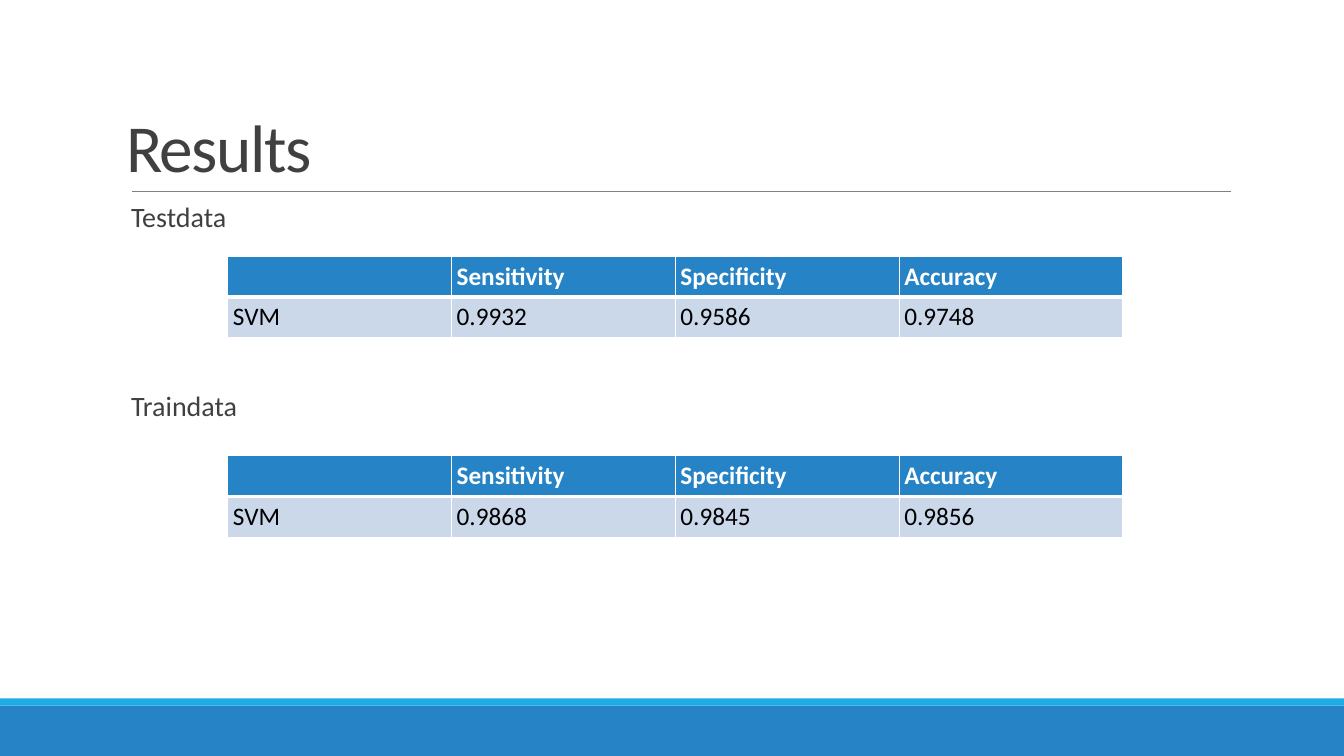
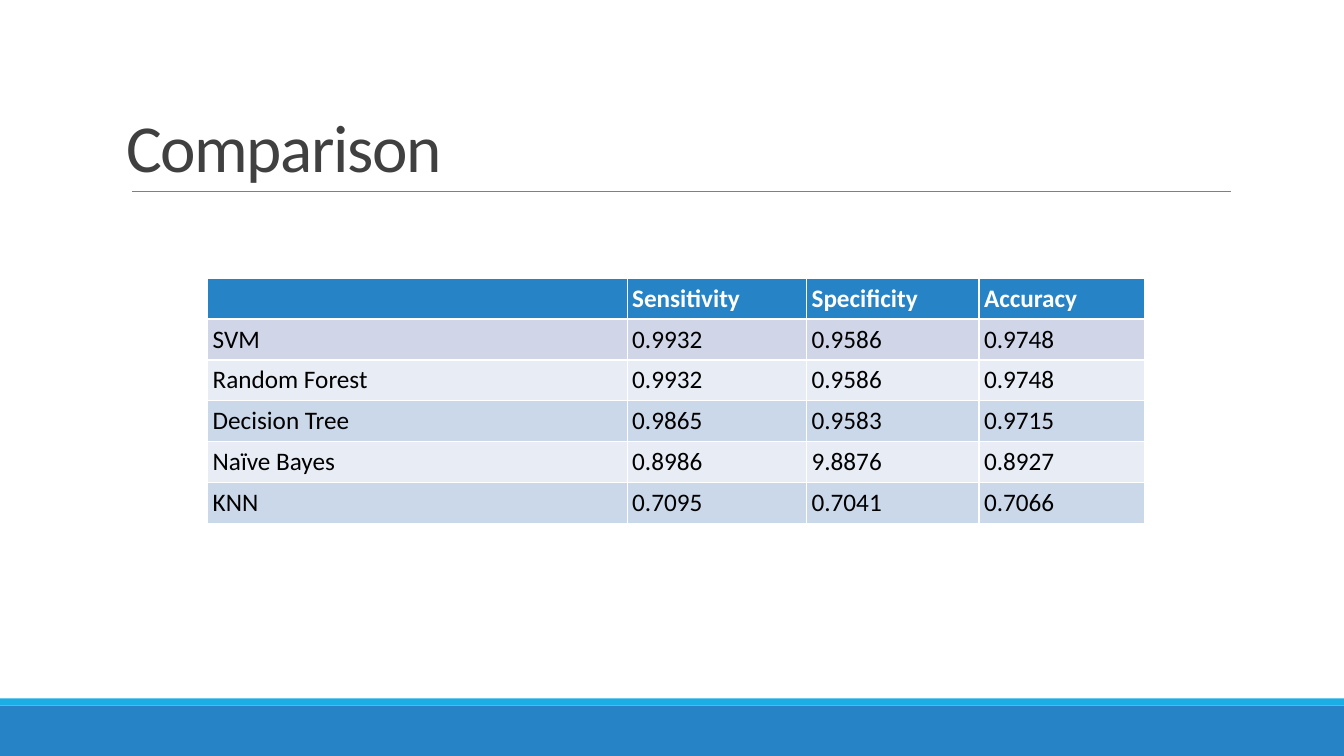
from lxml import etree
from pptx import Presentation
from pptx.dml.color import RGBColor
from pptx.enum.shapes import MSO_CONNECTOR, MSO_SHAPE
from pptx.enum.text import MSO_ANCHOR, MSO_AUTO_SIZE, PP_ALIGN
from pptx.oxml.ns import qn
from pptx.util import Inches, Pt

METRICS = ["", "Sensitivity", "Specificity", "Accuracy"]


def rgb(value):
    return RGBColor.from_string(value)


def write(tf, text, size=18, color="000000", bold=False, line_spacing=None,
          tracking=None, inset=0.05, anchor=MSO_ANCHOR.TOP):
    """Fill a text frame with one formatted paragraph; tracking is in points."""
    tf.word_wrap = True
    tf.auto_size = MSO_AUTO_SIZE.NONE
    tf.vertical_anchor = anchor
    tf.margin_left = tf.margin_right = Inches(inset)
    tf.margin_top = tf.margin_bottom = Inches(inset)
    format_paragraph(tf.paragraphs[0], text, size, color, bold, line_spacing, tracking)


def format_paragraph(p, text, size, color, bold, line_spacing=None, tracking=None):
    p.alignment = PP_ALIGN.LEFT
    p.line_spacing = line_spacing
    r = p.add_run()
    r.text = text
    r.font.name = Deck.FONT
    r.font.size = Pt(size)
    r.font.bold = bold
    r.font.color.rgb = rgb(color)
    if tracking is not None:
        r.font._element.set("spc", str(int(tracking * 100)))


def border(cell, side, width):
    """Draw one white cell edge; side is L, R, T or B."""
    ln = etree.SubElement(cell._tc.get_or_add_tcPr(), qn(f"a:ln{side}"), w=str(Pt(width)))
    fill = etree.SubElement(ln, qn("a:solidFill"))
    etree.SubElement(fill, qn("a:srgbClr"), val=Deck.WHITE)


class Deck:
    FONT = "Calibri"
    WHITE = "FFFFFF"
    TEXT = "404040"
    BLUE = "2683C6"
    CYAN = "1CADE4"
    RULE = "808080"
    ROW_DARK = "CBD8EA"
    ROW_LIGHT = "E7ECF5"
    ROW_MARKED = "D0D5E7"
    ROW_HEIGHT = 0.405

    def __init__(self):
        self.prs = Presentation()
        self.prs.slide_width = Inches(13.33)
        self.prs.slide_height = Inches(7.5)
        self.s = None

    def slide(self, title):
        self.s = self.prs.slides.add_slide(self.prs.slide_layouts[5])
        self.band(7, 0.5, self.BLUE)
        self.band(6.93, 0.07, self.CYAN)
        self.rule(1.31, 12.21, 1.9)
        sp = self.s.shapes.title
        sp.left, sp.top, sp.width, sp.height = map(Inches, (1.2, 0.31, 11, 1.59))
        write(sp.text_frame, title, size=48, color=self.TEXT, line_spacing=0.85,
              tracking=-1, anchor=MSO_ANCHOR.BOTTOM)

    def band(self, top, height, color):
        sp = self.s.shapes.add_shape(MSO_SHAPE.RECTANGLE, 0, Inches(top),
                                     self.prs.slide_width, Inches(height))
        sp.shadow.inherit = False
        sp.fill.solid()
        sp.fill.fore_color.rgb = rgb(color)
        sp.line.fill.background()

    def rule(self, left, right, y):
        line = self.s.shapes.add_connector(MSO_CONNECTOR.STRAIGHT, Inches(left), Inches(y),
                                           Inches(right), Inches(y))
        line.line.color.rgb = rgb(self.RULE)
        line.line.width = Pt(0.5)
        etree.SubElement(line._element.spPr, qn("a:effectLst"))

    def label(self, text, top):
        sp = self.s.shapes.add_textbox(Inches(1.3), Inches(top), Inches(10.9), Inches(0.35))
        write(sp.text_frame, text, size=20, color=self.TEXT, line_spacing=0.9, inset=0)

    def table(self, left, top, widths, rows, fills, header_rule=1):
        """Place a metrics table; fills holds one colour per body row."""
        rows = [METRICS] + rows
        frame = self.s.shapes.add_table(len(rows), len(widths), Inches(left), Inches(top),
                                        Inches(sum(widths)),
                                        Inches(self.ROW_HEIGHT * len(rows)))
        table = frame.table
        table.horz_banding = False
        for column, width in zip(table.columns, widths):
            column.width = Inches(width)
        for i, (values, fill) in enumerate(zip(rows, [self.BLUE] + fills)):
            for j, value in enumerate(values):
                self.cell(table.cell(i, j), value, fill, i, header_rule)

    def cell(self, cell, text, fill, row, header_rule):
        header = row == 0
        cell.margin_left = cell.margin_right = Inches(0.05)
        cell.margin_top = cell.margin_bottom = Inches(0.05)
        if text:
            format_paragraph(cell.text_frame.paragraphs[0], text, 18,
                             self.WHITE if header else "000000", header)
        border(cell, "L", 1)
        border(cell, "R", 1)
        border(cell, "T", header_rule if row == 1 else 1)
        border(cell, "B", header_rule if header else 1)
        cell.fill.solid()
        cell.fill.fore_color.rgb = rgb(fill)


def main():
    deck = Deck()

    deck.slide("Results")
    for name, label_top, table_top, scores in [
        ("Testdata", 2.02, 2.54, ["0.9932", "0.9586", "0.9748"]),
        ("Traindata", 3.89, 4.52, ["0.9868", "0.9845", "0.9856"]),
    ]:
        deck.label(name, label_top)
        deck.table(2.26, table_top, [2.22] * 4, [["SVM"] + scores],
                   [deck.ROW_DARK], header_rule=3)

    deck.slide("Comparison")
    deck.table(2.06, 2.76, [4.16, 1.78, 1.71, 1.64], [
        ["SVM", "0.9932", "0.9586", "0.9748"],
        ["Random Forest", "0.9932", "0.9586", "0.9748"],
        ["Decision Tree", "0.9865", "0.9583", "0.9715"],
        ["Naïve Bayes", "0.8986", "9.8876", "0.8927"],
        ["KNN", "0.7095", "0.7041", "0.7066"],
    ], [deck.ROW_MARKED] + [deck.ROW_LIGHT, deck.ROW_DARK] * 2)

    deck.prs.save("out.pptx")


if __name__ == "__main__":
    main()
